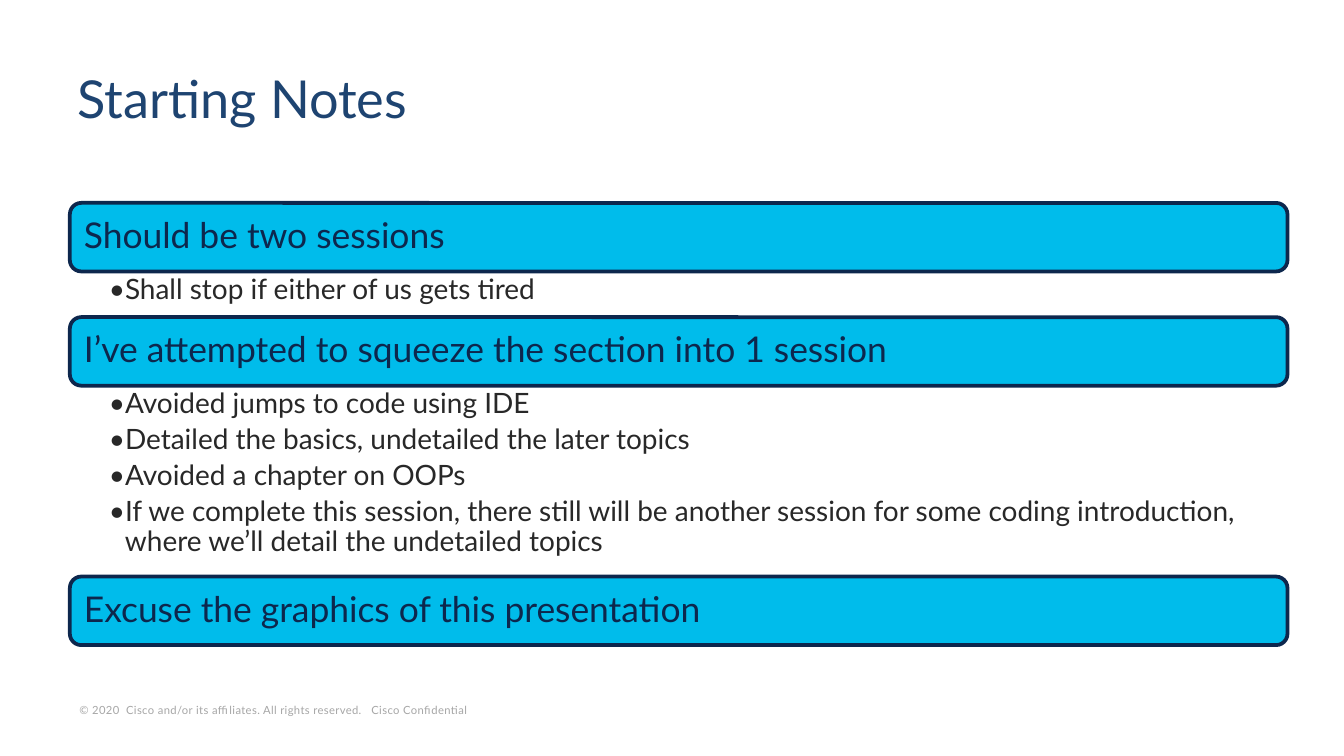
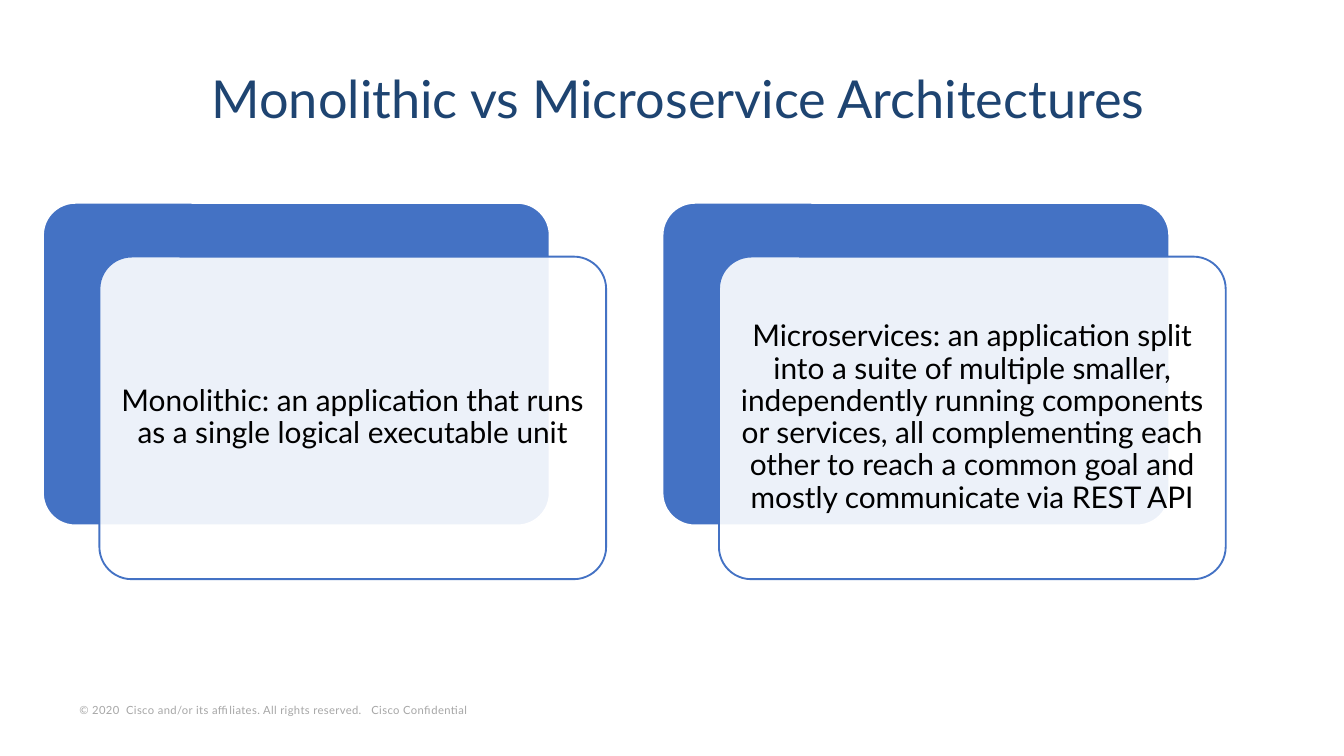
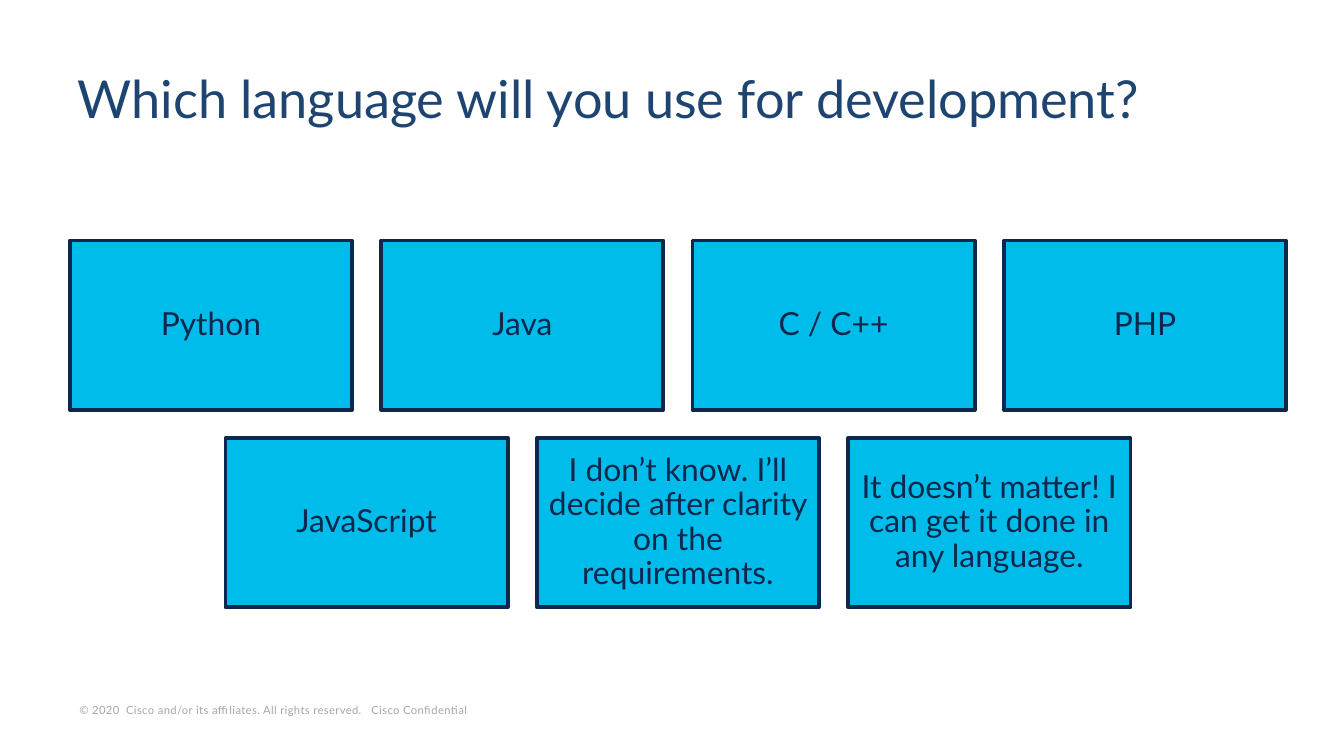
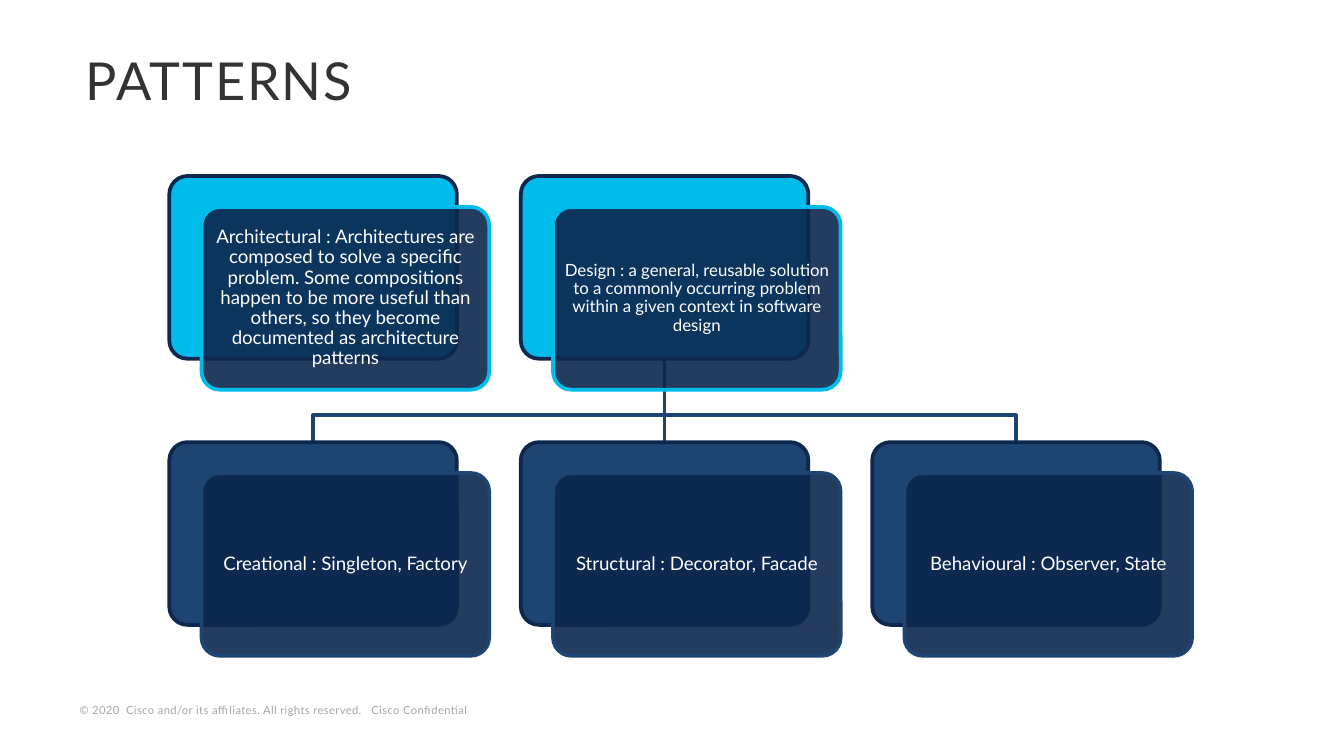
from typing import NamedTuple

from lxml.etree import SubElement as add_child
from pptx import Presentation
from pptx.dml.color import RGBColor
from pptx.enum.shapes import MSO_CONNECTOR as Connector
from pptx.enum.shapes import MSO_SHAPE as Preset
from pptx.enum.text import MSO_ANCHOR as Anchor
from pptx.enum.text import MSO_AUTO_SIZE as AutoSize
from pptx.enum.text import PP_ALIGN as Align
from pptx.oxml.ns import qn
from pptx.util import Inches, Pt

FONT = "Lato"
COLORS = {
    "navy": "0D274D",
    "blue": "1E4471",
    "cyan": "00BCEB",
    "royal": "4472C4",
    "white": "FFFFFF",
    "black": "000000",
    "body": "282828",
    "heading": "333333",
    "footer": "A6A6A6",
}
FOOTER = "© 2020  Cisco and/or its affiliates. All rights reserved.   Cisco Confidential"


class Box(NamedTuple):
    """A rectangle measured in inches."""
    left: float
    top: float
    width: float
    height: float

    def lengths(self):
        """Return the four sides as slide lengths."""
        return [Inches(side) for side in self]

    def shifted(self, right, down):
        """Return the same rectangle moved right and down."""
        return Box(self.left + right, self.top + down, self.width, self.height)


TITLE_BOX = Box(0.48, 0.37, 9.13, 0.8)
FOOTER_BOX = Box(0.52, 5.19, 3.72, 0.17)


def color(name):
    """Look up a named colour."""
    return RGBColor.from_string(COLORS[name])


def set_frame(shape, insets, anchor=Anchor.MIDDLE):
    """Wrap the text of a shape and set its insets and anchor."""
    frame = shape.text_frame
    frame.word_wrap = True
    frame.vertical_anchor = anchor
    (frame.margin_left, frame.margin_top,
     frame.margin_right, frame.margin_bottom) = [Inches(inset) for inset in insets]
    return frame


def write(para, text, size, ink, align=Align.LEFT, line_spacing=0.9, tracking=0):
    """Add one run of styled text to a paragraph."""
    para.alignment = align
    para.line_spacing = line_spacing
    span = para.add_run()
    span.text = text
    span.font.name = FONT
    span.font.size = Pt(size)
    span.font.color.rgb = color(ink)
    if tracking:
        span.font._element.set("spc", str(round(tracking * 100)))


def add_text(page, box, text, size, ink, insets, anchor=Anchor.MIDDLE, **style):
    """Add a text box holding one paragraph and return its frame."""
    frame = set_frame(page.shapes.add_textbox(*box.lengths()), insets, anchor)
    write(frame.paragraphs[0], text, size, ink, **style)
    return frame


def add_panel(page, preset, box, fill, edge, weight=2, corner=None, opacity=None):
    """Add a filled and outlined shape without a shadow."""
    panel = page.shapes.add_shape(preset, *box.lengths())
    panel.shadow.inherit = False
    panel.fill.solid()
    panel.fill.fore_color.rgb = color(fill)
    panel.line.color.rgb = color(edge)
    panel.line.width = Pt(weight)
    if corner:
        panel.adjustments[0] = corner
    if opacity:
        tone = panel._element.spPr.find(qn("a:solidFill"))[0]
        add_child(tone, qn("a:alpha"), val=str(opacity * 1000))
    return panel


def add_page(deck, title, box=TITLE_BOX, ink="blue", **style):
    """Add a blank slide with its footer and title."""
    page = deck.slides.add_slide(deck.slide_layouts[6])
    footer = add_text(page, FOOTER_BOX, FOOTER, 6, "footer", (0.07, 0.03, 0.07, 0.03),
                      Anchor.BOTTOM, line_spacing=1.0, tracking=0.2)
    footer.auto_size = AutoSize.SHAPE_TO_FIT_TEXT
    add_text(page, box, title, 28, ink, (0.1, 0.05, 0.1, 0.05),
             line_spacing=0.8, **style)
    return page


def add_bullets(page, box, items):
    """Add a bulleted list under a heading band."""
    frame = set_frame(page.shapes.add_textbox(*box.lengths()),
                      (0.29, 0.03, 0.15, 0.03), Anchor.TOP)
    for index, item in enumerate(items):
        para = frame.add_paragraph() if index else frame.paragraphs[0]
        properties = para._p.get_or_add_pPr()
        properties.set("marL", str(Inches(0.12)))
        properties.set("indent", str(-Inches(0.12)))
        add_child(properties, qn("a:buFont"), typeface=FONT)
        add_child(properties, qn("a:buChar"), char="•")
        para.space_after = Pt(3)
        write(para, item, 15, "body")


def add_note_bands(page, box, sections):
    """Stack heading bands, each followed by its list."""
    band_height = 0.51
    top = box.top
    for heading, items, list_height in sections:
        band = add_panel(page, Preset.ROUNDED_RECTANGLE,
                         Box(box.left, top, box.width, band_height), "cyan", "navy")
        write(set_frame(band, [0.08] * 4).paragraphs[0], heading, 19, "navy")
        top += band_height
        if items:
            add_bullets(page, Box(box.left, top, box.width, list_height), items)
            top += list_height


def add_card(page, box, offset, text, size, back, front, inset):
    """Add a rounded card with a translucent text card over it."""
    back_fill, back_edge = back
    front_fill, front_edge, ink, weight = front
    add_panel(page, Preset.ROUNDED_RECTANGLE, box, back_fill, back_edge, weight, 0.1)
    face = add_panel(page, Preset.ROUNDED_RECTANGLE, box.shifted(*offset),
                     front_fill, front_edge, weight, 0.1, 90)
    write(set_frame(face, [inset] * 4).paragraphs[0], text, size, ink, Align.CENTER)


def add_comparison(page, box, texts):
    """Place large cards side by side."""
    card_width, card_height, offset = 3.77, 2.4, (0.42, 0.4)
    step = (box.width - card_width - offset[0]) / (len(texts) - 1)
    for index, text in enumerate(texts):
        card = Box(box.left + index * step, box.top, card_width, card_height)
        add_card(page, card, offset, text, 16, ("royal", "white"),
                 ("white", "royal", "black", 1), 0.07)


def add_choice_grid(page, box, rows):
    """Lay out centred rows of equal tiles."""
    tile_width, tile_height = 2.1, 1.26
    columns = max(len(row) for row in rows)
    gap = (box.width - columns * tile_width) / (columns - 1)
    row_step = box.height - tile_height
    for row_index, row in enumerate(rows):
        row_width = len(row) * (tile_width + gap) - gap
        left = box.left + (box.width - row_width) / 2
        top = box.top + row_index * row_step
        for index, choice in enumerate(row):
            spot = Box(left + index * (tile_width + gap), top, tile_width, tile_height)
            tile = add_panel(page, Preset.RECTANGLE, spot, "cyan", "navy")
            write(set_frame(tile, [0.07] * 4).paragraphs[0], choice, 17, "navy",
                  Align.CENTER)


def add_branch(page, parent, child):
    """Join the bottom of a parent card to the top of a child card."""
    start_x, end_x = [Inches(card.left + card.width / 2) for card in (parent, child)]
    start_y, end_y = Inches(parent.top + parent.height), Inches(child.top)
    if start_x == end_x:
        branch = page.shapes.add_connector(Connector.STRAIGHT,
                                           start_x, start_y, end_x, end_y)
        add_child(branch._element.spPr, qn("a:effectLst"))
    else:
        bend_y = end_y - Inches(0.2)
        outline = page.shapes.build_freeform(start_x, start_y)
        outline.add_line_segments(
            [(start_x, bend_y), (end_x, bend_y), (end_x, end_y)], close=False)
        branch = outline.convert_to_shape()
        branch.shadow.inherit = False
        branch.fill.background()
    branch.line.color.rgb = color("blue")
    branch.line.width = Pt(2)


def add_pattern_tree(page, box, kinds, families):
    """Draw the pattern kinds and the families below the last kind."""
    card_width, card_height, offset = 2.14, 1.36, (0.24, 0.23)
    step_x = (box.width - card_width - offset[0]) / (len(families) - 1)
    step_y = box.height - card_height - offset[1]
    tops, leaves = [
        [Box(box.left + index * step_x, box.top + row * step_y, card_width, card_height)
         for index in range(len(texts))]
        for row, texts in enumerate((kinds, families))]
    for leaf in leaves:
        add_branch(page, tops[-1], leaf)
    for cards, texts, tone in ((tops, kinds, "cyan"), (leaves, families, "blue")):
        for card, (text, size) in zip(cards, texts):
            add_card(page, card, offset, text, size, (tone, "navy"),
                     ("navy", tone, "white", 2), 0.04)


def main():
    """Build the four slides and save the deck."""
    deck = Presentation()
    deck.slide_width = Inches(10)
    deck.slide_height = deck.slide_width * 9 // 16

    page = add_page(deck, "Starting Notes")
    add_note_bands(page, Box(0.52, 1.51, 9.06, 3.29), [
        ("Should be two sessions", ["Shall stop if either of us gets tired"], 0.34),
        ("I’ve attempted to squeeze the section into 1 session", [
            "Avoided jumps to code using IDE",
            "Detailed the basics, undetailed the later topics",
            "Avoided a chapter on OOPs",
            "If we complete this session, there still will be another session for "
            "some coding introduction, where we’ll detail the undetailed topics",
        ], 1.42),
        ("Excuse the graphics of this presentation", [], 0),
    ])

    page = add_page(deck, "Monolithic vs Microservice Architectures",
                    align=Align.CENTER)
    add_comparison(page, Box(0.32, 1.51, 8.8, 2.8), [
        "Monolithic: an application that runs as a single logical executable unit",
        "Microservices: an application split into a suite of multiple smaller, "
        "independently running components or services, all complementing each "
        "other to reach a common goal and mostly communicate via REST API",
    ])

    page = add_page(deck, "Which language will you use for development?")
    add_choice_grid(page, Box(0.52, 1.79, 9.05, 2.73), [
        ["Python", "Java", "C / C++", "PHP"],
        ["JavaScript",
         "I don’t know. I’ll decide after clarity on the requirements.",
         "It doesn’t matter! I can get it done in any language."],
    ])

    page = add_page(deck, "PATTERNS", Box(0.54, 0.02, 7.97, 1.23), "heading",
                    tracking=1)
    add_pattern_tree(page, Box(1.26, 1.31, 7.61, 3.57), [
        ("Architectural : Architectures are composed to solve a specific problem. "
         "Some compositions happen to be more useful than others, so they become "
         "documented as architecture patterns", 10),
        ("Design : a general, reusable solution to a commonly occurring problem "
         "within a given context in software design", 9),
    ], [
        ("Creational : Singleton, Factory", 10),
        ("Structural : Decorator, Facade", 10),
        ("Behavioural : Observer, State", 10),
    ])

    deck.save("out.pptx")


if __name__ == "__main__":
    main()
